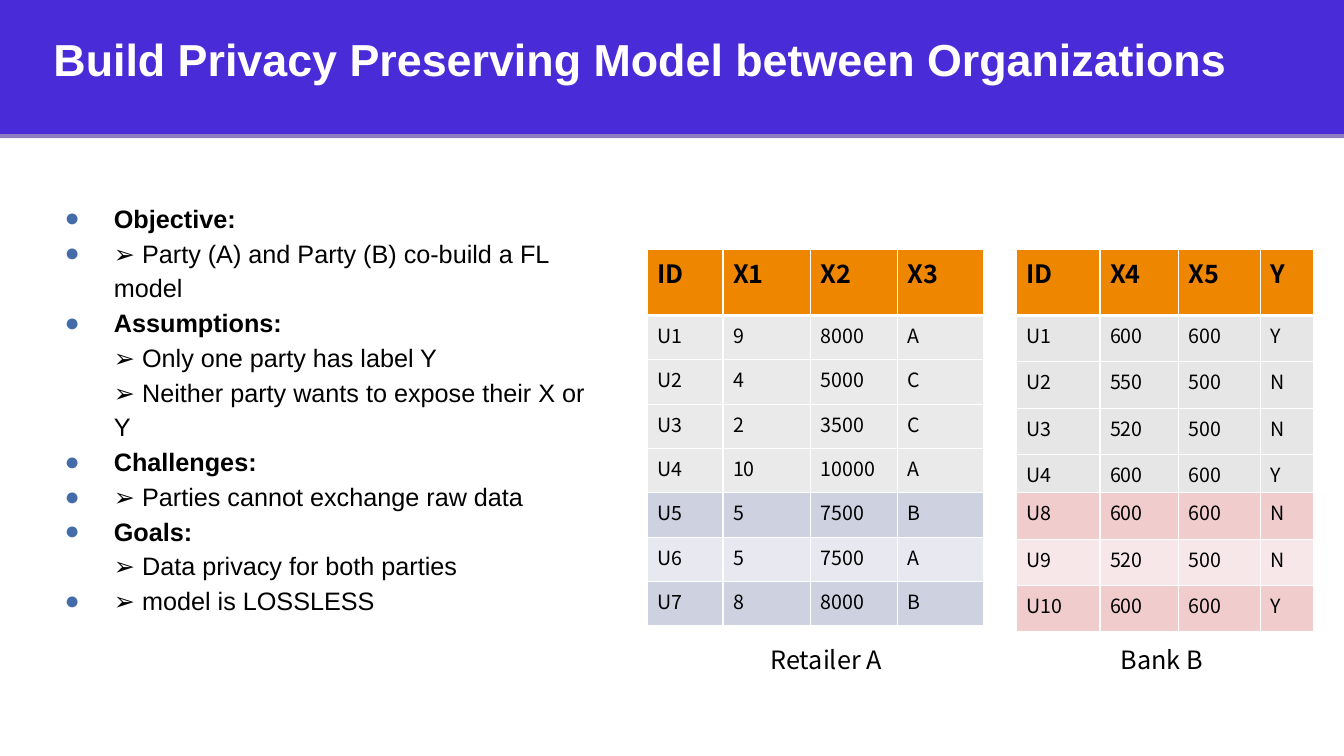
from dataclasses import dataclass
from lxml import etree
from pptx import Presentation
from pptx.dml.color import RGBColor
from pptx.enum.shapes import MSO_SHAPE
from pptx.enum.text import MSO_ANCHOR, MSO_AUTO_SIZE, PP_ALIGN
from pptx.oxml.ns import qn
from pptx.util import Inches, Pt

RECTANGLE = MSO_SHAPE.RECTANGLE
TOP, MIDDLE = MSO_ANCHOR.TOP, MSO_ANCHOR.MIDDLE
LEFT, CENTER = PP_ALIGN.LEFT, PP_ALIGN.CENTER
NO_FIT = MSO_AUTO_SIZE.NONE

TITLE = "Build Privacy Preserving Model between Organizations"
POINTS = [
    ("Objective:", []),
    ("", ["➢ Party (A) and Party (B) co-build a FL model"]),
    ("Assumptions:", ["➢ Only one party has label Y",
                      "➢ Neither party wants to expose their X or Y"]),
    ("Challenges:", []),
    ("", ["➢ Parties cannot exchange raw data"]),
    ("Goals:", ["➢ Data privacy for both parties"]),
    ("", ["➢ model is LOSSLESS"]),
]
PARTIES = [
    {
        "name": "Retailer A", "left": 6.42, "caption_left": 6.91,
        "columns": [0.75, 0.87, 0.86, 0.86],
        "heights": [0.66] + [0.44] * 7,
        "shared": "EAEAEA", "own": ["CDD1E0", "E8E9F0"],
        "rows": [
            ["ID", "X1", "X2", "X3"],
            ["U1", "9", "8000", "A"],
            ["U2", "4", "5000", "C"],
            ["U3", "2", "3500", "C"],
            ["U4", "10", "10000", "A"],
            ["U5", "5", "7500", "B"],
            ["U6", "5", "7500", "A"],
            ["U7", "8", "8000", "B"],
        ],
    },
    {
        "name": "Bank B", "left": 10.08, "caption_left": 10.24,
        "columns": [0.83, 0.78, 0.81, 0.53],
        "heights": [0.66] + [0.46] * 3 + [0.38] + [0.46] * 3,
        "shared": "E7E6E6", "own": ["F0CCCC", "F8E7E8"],
        "rows": [
            ["ID", "X4", "X5", "Y"],
            ["U1", "600", "600", "Y"],
            ["U2", "550", "500", "N"],
            ["U3", "520", "500", "N"],
            ["U4", "600", "600", "Y"],
            ["U8", "600", "600", "N"],
            ["U9", "520", "500", "N"],
            ["U10", "600", "600", "Y"],
        ],
    },
]
SHARED_USERS = 4
TABLE_TOP = 2.47


@dataclass(frozen=True)
class Theme:
    band: str = "4A2BD8"
    rule: str = "8E7CC3"
    white: str = "FFFFFF"
    ink: str = "000000"
    bullet: str = "446CA9"
    header: str = "EF8600"
    text_font: str = "Arial"
    table_font: str = "Noto Sans CJK SC"
    title_size: int = 32
    body_size: int = 18
    cell_size: int = 14


THEME = Theme()


def add_span(para, text, font, size, color, bold=False):
    span = para.add_run()
    span.text = text
    span.font.name = font
    span.font.size = Pt(size)
    span.font.bold = bold
    span.font.color.rgb = RGBColor.from_string(color)


def place(box, left, top, width, height):
    box.left, box.top = Inches(left), Inches(top)
    box.width, box.height = Inches(width), Inches(height)


def prepare_frame(box, anchor):
    frame = box.text_frame
    frame.word_wrap = True
    frame.auto_size = NO_FIT
    frame.vertical_anchor = anchor
    frame.margin_left = frame.margin_right = Inches(0.13)
    frame.margin_top = frame.margin_bottom = Inches(0.13)
    return frame


def add_band(page, top, height, color):
    band = page.shapes.add_shape(RECTANGLE, 0, Inches(top), Inches(13.33), Inches(height))
    band.shadow.inherit = False
    band.fill.solid()
    band.fill.fore_color.rgb = RGBColor.from_string(color)
    band.line.fill.background()
    page.shapes.title._element.addprevious(band._element)


def fill_title(page):
    title = page.shapes.title
    place(title, 0.4, 0.19, 12.03, 0.79)
    para = prepare_frame(title, MIDDLE).paragraphs[0]
    para.alignment = LEFT
    add_span(para, TITLE, THEME.text_font, THEME.title_size, THEME.white, True)


def set_bullet(para):
    properties = para._p.get_or_add_pPr()
    properties.set("marL", str(Inches(0.5)))
    properties.set("indent", str(Inches(-0.49)))
    color = etree.SubElement(properties, qn("a:buClr"))
    etree.SubElement(color, qn("a:srgbClr"), val=THEME.bullet)
    etree.SubElement(properties, qn("a:buFont"), typeface=THEME.text_font)
    etree.SubElement(properties, qn("a:buChar"), char="●")


def fill_points(page):
    body = page.placeholders[1]
    place(body, 0.5, 1.84, 5.58, 5.07)
    frame = prepare_frame(body, TOP)
    for index, (heading, details) in enumerate(POINTS):
        para = frame.add_paragraph() if index else frame.paragraphs[0]
        set_bullet(para)
        para.alignment = LEFT
        para.line_spacing = 1.15
        para.space_before = para.space_after = Pt(0)
        lines = [(heading, True)] if heading else []
        lines += [(detail, False) for detail in details]
        for number, (text, bold) in enumerate(lines):
            if number:
                para.add_line_break()
            add_span(para, text, THEME.text_font, THEME.body_size, THEME.ink, bold)


def set_borders(cell, row):
    properties = cell._tc.get_or_add_tcPr()
    widths = {"L": 1, "R": 1, "T": 3 if row == 1 else 1, "B": 3 if row == 0 else 1}
    for side, width in widths.items():
        line = etree.SubElement(properties, qn(f"a:ln{side}"), w=str(Pt(width)))
        fill = etree.SubElement(line, qn("a:solidFill"))
        etree.SubElement(fill, qn("a:srgbClr"), val=THEME.white)


def row_color(party, row):
    if row == 0:
        return THEME.header
    if row <= SHARED_USERS:
        return party["shared"]
    return party["own"][(row - SHARED_USERS - 1) % 2]


def add_party(page, party):
    rows, columns, heights = party["rows"], party["columns"], party["heights"]
    table = page.shapes.add_table(
        len(rows), len(columns), Inches(party["left"]), Inches(TABLE_TOP),
        Inches(sum(columns)), Inches(sum(heights))).table
    table.horz_banding = False
    for column, width in zip(table.columns, columns):
        column.width = Inches(width)
    for index, values in enumerate(rows):
        table.rows[index].height = Inches(heights[index])
        size = THEME.cell_size if index else THEME.body_size
        for column, value in enumerate(values):
            cell = table.cell(index, column)
            set_borders(cell, index)
            cell.fill.solid()
            cell.fill.fore_color.rgb = RGBColor.from_string(row_color(party, index))
            add_span(cell.text_frame.paragraphs[0], value, THEME.table_font, size,
                     THEME.ink, index == 0)
    caption = page.shapes.add_textbox(
        Inches(party["caption_left"]), Inches(6.34), Inches(2.57), Inches(0.4))
    caption.text_frame.word_wrap = True
    para = caption.text_frame.paragraphs[0]
    para.alignment = CENTER
    add_span(para, party["name"], THEME.table_font, THEME.body_size, THEME.ink)


def main():
    deck = Presentation()
    deck.slide_width, deck.slide_height = Inches(13.33), Inches(7.5)
    page = deck.slides.add_slide(deck.slide_layouts[1])
    add_band(page, 0, 1.33, THEME.band)
    add_band(page, 1.33, 0.04, THEME.rule)
    fill_title(page)
    fill_points(page)
    for party in PARTIES:
        add_party(page, party)
    deck.save("out.pptx")


if __name__ == "__main__":
    main()
